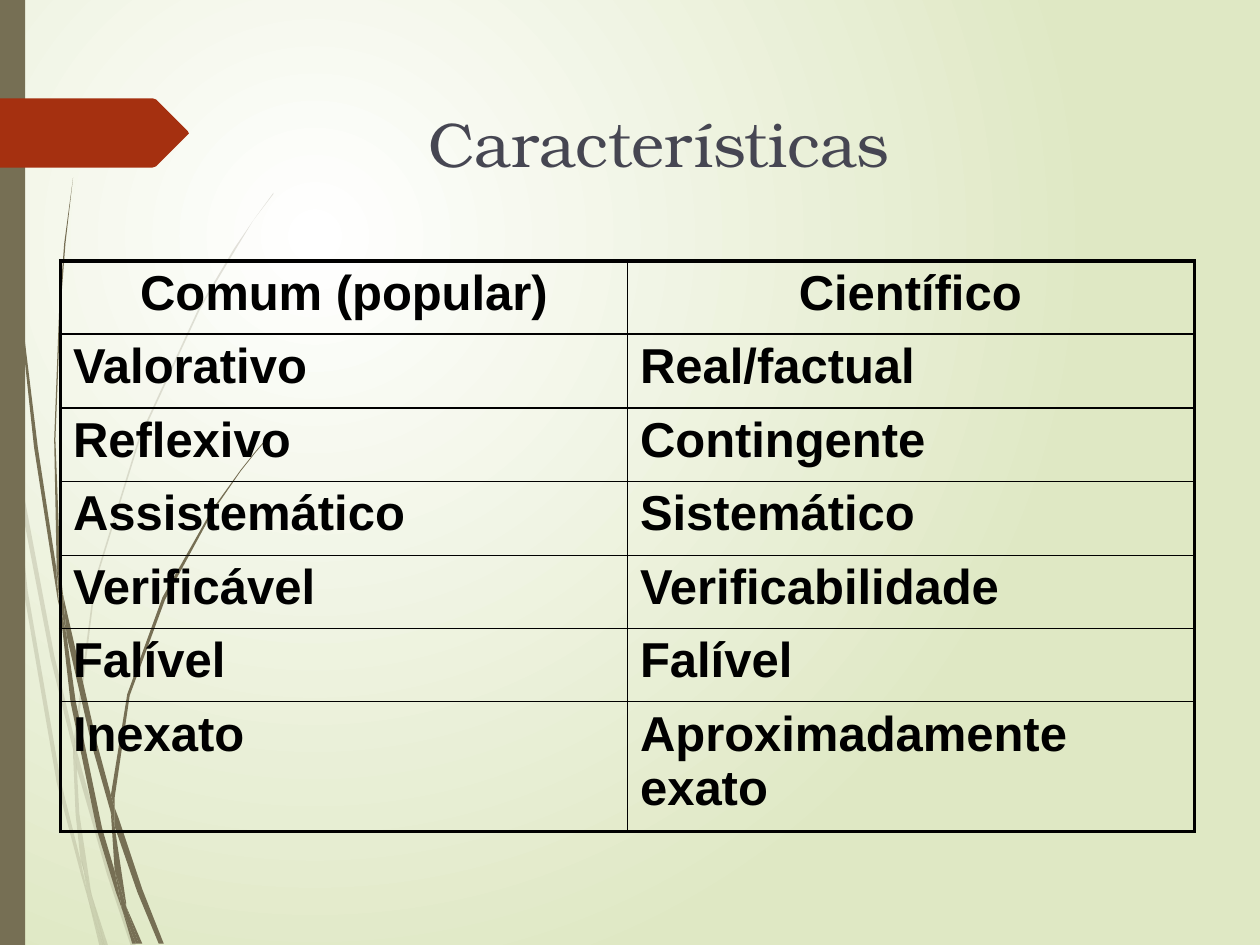
import pptx
import pptx.dml.color
import pptx.enum.shapes
import pptx.enum.text
import pptx.oxml
import pptx.oxml.ns
import pptx.util

PX = 9144
OLIVE = "766F54"
RED = "A53010"
BLACK = "000000"

PALE_BLADES = [
    "8,350 6,322 0,282 0,299 7,344",
    "40,522 59,599 59,586 43,520 10,345 12,376",
    "64,607 61,596 61,610 85,694 104,751 108,751 88,692",
    "83,751 86,751 73,711",
    "64,683 48,619 22,469 12,376 8,350 19,470 45,621 64,693 70,714 69,707",
    "58,599 60,646 64,683 67,692 73,711 72,706 63,646 61,610 61,608",
    "61,584 76,462 111,349 159,245 187,198 201,175 217,154 217,153 201,175 "
    "186,197 158,244 110,348 75,461 59,584 59,586 61,596",
    "70,714 79,751 82,751",
    "61,608 61,610 61,596 59,586 58,599",
    "67,692 65,683 69,707 70,714 82,751 83,751 73,711",
]
DARK_BLADES = [
    "5,110 14,233 27,355 46,477 47,481 45,457 45,453 30,355 15,232 6,109 4,48 3,0 2,0 3,48",
    "73,592 88,645 88,633 88,631 77,590 50,472 53,505",
    "94,649 91,641 91,656 109,708 126,749 130,749 113,706",
    "91,691 81,657 60,556 53,505 47,477 56,557 77,659 92,708 97,722 96,717",
    "50,472 48,453 44,349 48,245 52,193 58,141 51,193 47,245 43,349 45,449 49,472",
    "110,749 113,749 100,719",
    "47,477 53,505 50,472 49,472 45,449 45,453",
    "91,633 103,552 131,476 169,406 191,374 203,359 216,344 215,344 203,358 "
    "191,373 168,405 129,474 101,551 88,631 91,641",
    "97,722 105,749 108,749",
    "88,645 91,691 96,706 100,719 100,716 91,656 90,651",
    "88,645 90,651 91,656 91,641 88,631 88,633",
    "96,706 91,691 96,717 97,722 108,749 110,749 100,719",
]
ARROW = "149,107 124,132 121,133 0,133 0,78 121,78 124,79 149,104 150,106"

ROWS = [
    ("Comum (popular)", "Científico"),
    ("Valorativo", "Real/factual"),
    ("Reflexivo", "Contingente"),
    ("Assistemático", "Sistemático"),
    ("Verificável", "Verificabilidade"),
    ("Falível", "Falível"),
    ("Inexato", "Aproximadamente exato"),
]
ROW_HEIGHTS = [58, 59, 58, 59, 58, 58, 103]
COLUMN_WIDTH = 450


def px(length):
    """Turn px into EMU."""
    return pptx.util.Emu(length * PX)


def color(value):
    """Turn a hex string into a colour."""
    return pptx.dml.color.RGBColor.from_string(value)


def paint(shape, fill, alpha=100):
    """Give a shape a plain fill without line or shadow."""
    shape.shadow.inherit = False
    shape.line.fill.background()
    shape.fill.solid()
    shape.fill.fore_color.rgb = color(fill)
    if alpha < 100:
        hue = shape.fill._xPr.find(".//" + pptx.oxml.ns.qn("a:srgbClr"))
        hue.append(pptx.oxml.parse_xml(
            f'<a:alpha {pptx.oxml.ns.nsdecls("a")} val="{alpha * 1000}"/>'))


def add_outline(shapes, outline, fill, alpha=100):
    """Draw a closed outline given as x,y pairs."""
    points = [tuple(map(int, pair.split(","))) for pair in outline.split()]
    builder = shapes.build_freeform(*points[0], scale=PX)
    builder.add_line_segments(points[1:], close=True)
    paint(builder.convert_to_shape(), fill, alpha)


def add_grass(slide, blades, alpha=100):
    """Draw one group of grass blades."""
    group = slide.shapes.add_group_shape()
    for blade in blades:
        add_outline(group.shapes, blade, OLIVE, alpha)


def set_background(slide):
    """Fill the background with a radial gradient."""
    fill = slide.background.fill
    fill.gradient()
    for stop, value in zip(fill.gradient_stops, ("FFFFFF", "DFE8C4")):
        stop.color.rgb = color(value)
    gradient = slide.element.find(".//" + pptx.oxml.ns.qn("a:gradFill"))
    direction = gradient.find(pptx.oxml.ns.qn("a:lin"))
    gradient.replace(direction, pptx.oxml.parse_xml(
        f'<a:path {pptx.oxml.ns.nsdecls("a")} path="circle">'
        '<a:fillToRect l="50000" t="50000" r="100000" b="100000"/></a:path>'))


def add_bar(slide):
    """Draw the bar along the left edge."""
    kind = pptx.enum.shapes.MSO_SHAPE.RECTANGLE
    paint(slide.shapes.add_shape(kind, 0, 0, px(20), px(750)), OLIVE)


def set_borders(cell, outer_sides):
    """Give a cell thick borders on outer sides and thin ones elsewhere."""
    properties = cell._tc.get_or_add_tcPr()
    for side in "LRTB":
        width = pptx.util.Pt(2.25 if side in outer_sides else 1)
        properties.append(pptx.oxml.parse_xml(
            f'<a:ln{side} {pptx.oxml.ns.nsdecls("a")} w="{width}"><a:solidFill>'
            f'<a:srgbClr val="{BLACK}"/></a:solidFill></a:ln{side}>'))


def set_text(paragraph, text, font, size, value, before, indent=0):
    """Write and format one paragraph."""
    paragraph.text = text
    paragraph.space_before = pptx.util.Pt(before)
    paragraph._p.get_or_add_pPr().set("marL", str(px(indent)))
    paragraph.font.name = font
    paragraph.font.size = pptx.util.Pt(size)
    paragraph.font.color.rgb = color(value)


def fill_cell(cell, text, row, column):
    """Write one table cell with its borders."""
    last = len(ROWS) - 1
    outer_sides = "LR"[column] + {0: "T", last: "B"}.get(row, "")
    set_borders(cell, outer_sides)
    cell.fill.background()
    cell.margin_left = cell.margin_right = cell.margin_bottom = 0
    cell.margin_top = px(4)
    paragraph = cell.text_frame.paragraphs[0]
    indent = (0, 136)[column] if row == 0 else 10
    set_text(paragraph, text, "Arial", 28, BLACK, 2.9, indent)
    paragraph.font.bold = True
    if row == column == 0:
        paragraph.alignment = pptx.enum.text.PP_ALIGN.CENTER


def add_comparison(slide):
    """Build the table of both kinds of knowledge."""
    frame = slide.shapes.add_table(len(ROWS), 2, px(48), px(207),
                                   px(2 * COLUMN_WIDTH), px(sum(ROW_HEIGHTS)))
    table = frame.table
    table.first_row = table.horz_banding = False
    for column in table.columns:
        column.width = px(COLUMN_WIDTH)
    for row, (texts, height) in enumerate(zip(ROWS, ROW_HEIGHTS)):
        table.rows[row].height = px(height)
        for column, text in enumerate(texts):
            fill_cell(table.cell(row, column), text, row, column)


def add_title(slide):
    """Write the slide title."""
    box = slide.shapes.add_textbox(px(138), px(24), px(721), px(140))
    frame = box.text_frame
    frame.word_wrap = True
    frame.margin_left = frame.margin_right = frame.margin_bottom = 0
    frame.margin_top = px(59)
    set_text(frame.paragraphs[0], "Características", "TeX Gyre Bonum", 36,
             "464652", 1, 202)


def main():
    """Build and save the slide."""
    presentation = pptx.Presentation()
    presentation.slide_width = px(1000)
    presentation.slide_height = px(750)
    slide = presentation.slides.add_slide(presentation.slide_layouts[6])
    set_background(slide)
    add_grass(slide, PALE_BLADES, 20)
    add_grass(slide, DARK_BLADES)
    add_bar(slide)
    add_outline(slide.shapes, ARROW, RED)
    add_comparison(slide)
    add_title(slide)
    presentation.save("out.pptx")


if __name__ == "__main__":
    main()
